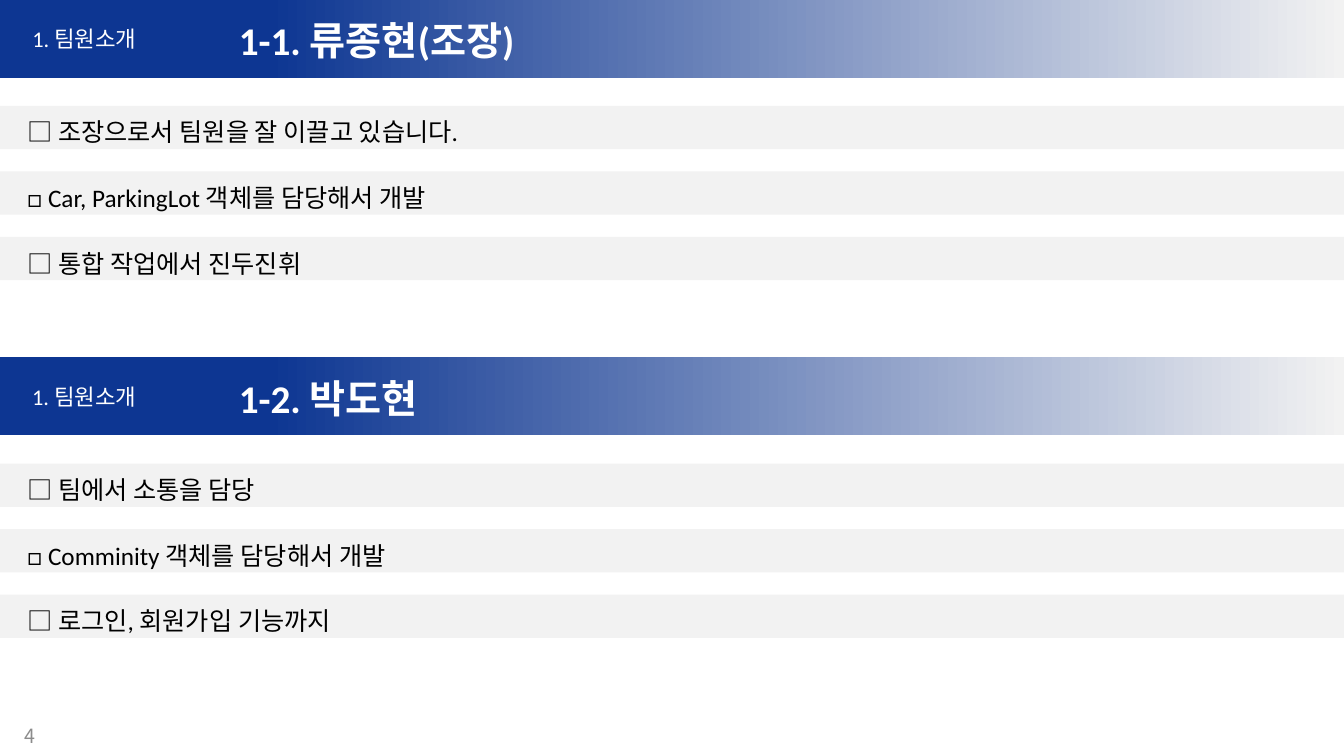
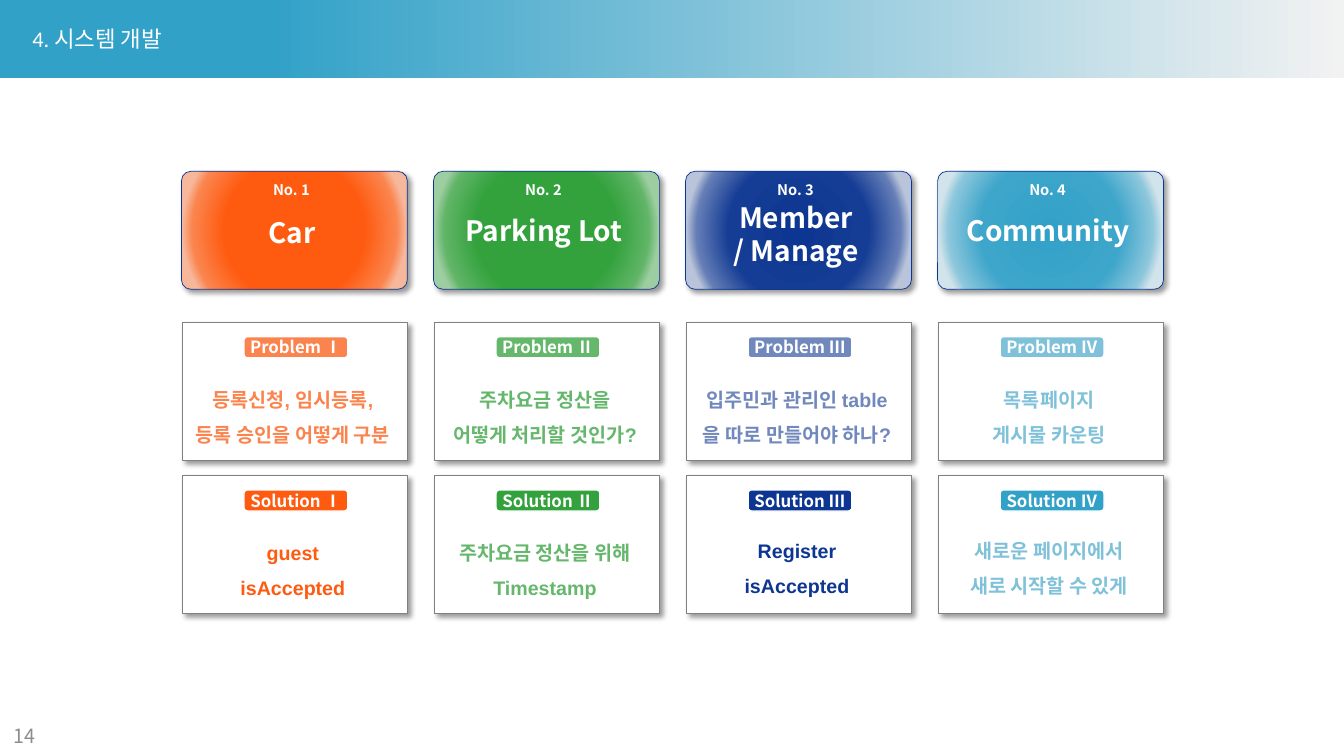
"""Build the team introduction slide and the system development slide."""
from lxml.etree import SubElement
from pptx import Presentation
from pptx.dml.color import RGBColor
from pptx.enum.shapes import MSO_SHAPE
from pptx.enum.text import MSO_ANCHOR, MSO_AUTO_SIZE, PP_ALIGN
from pptx.oxml import parse_xml
from pptx.oxml.ns import nsdecls, qn
from pptx.util import Inches, Pt

WHITE = RGBColor(0xFF, 0xFF, 0xFF)
BLACK = RGBColor(0x00, 0x00, 0x00)
PALE = RGBColor(0xF2, 0xF2, 0xF2)
GRAY = RGBColor(0x80, 0x80, 0x80)
FAINT = RGBColor(0x8C, 0x8C, 0x8C)
NAVY = RGBColor(0x0D, 0x36, 0x92)
SKY = RGBColor(0x32, 0xA1, 0xC8)
ORANGE = RGBColor(0xFE, 0x5B, 0x10)
GREEN = RGBColor(0x33, 0xA2, 0x3D)
PEACH = RGBColor(0xFB, 0x84, 0x4E)
MINT = RGBColor(0x65, 0xB7, 0x6C)
STEEL = RGBColor(0x70, 0x88, 0xBC)
AQUA = RGBColor(0x7F, 0xC1, 0xD9)

LATIN, NOTO, ARIAL = "Calibri", "Noto Sans CJK KR", "Arial"
LEFT, MID, RIGHT = PP_ALIGN.LEFT, PP_ALIGN.CENTER, PP_ALIGN.RIGHT
TOP, CENTER = MSO_ANCHOR.TOP, MSO_ANCHOR.MIDDLE
WIDE, HIGH = 13.33, 7.5
BLOCK, BAR = 3.55, 0.65
COL, ROW = 2.5, 1.52


def box(slide, kind, x, y, w, h, fill=None, line=None, width=0.5):
    """Add a shape, or a text box if kind is None."""
    area = [Inches(v) for v in (x, y, w, h)]
    if kind is None:
        return slide.shapes.add_textbox(*area)
    shape = slide.shapes.add_shape(kind, *area)
    shape.shadow.inherit = False
    shape.fill.solid()
    shape.fill.fore_color.rgb = fill
    if line is None:
        shape.line.fill.background()
    else:
        shape.line.color.rgb = line
        shape.line.width = Pt(width)
    return shape


def write(shape, lines, size, color, font, bold=False, align=LEFT, anchor=TOP,
          space=1.0, pad=(0.1, 0.05), wrap=True):
    """Fill a shape with one paragraph per line."""
    frame = shape.text_frame
    frame.auto_size = MSO_AUTO_SIZE.NONE
    frame.word_wrap = wrap
    frame.vertical_anchor = anchor
    frame.margin_left, frame.margin_top = Inches(pad[0]), Inches(pad[1])
    frame.margin_right, frame.margin_bottom = Inches(min(pad[0], 0.1)), Inches(pad[1])
    for i, line in enumerate(lines):
        para = frame.add_paragraph() if i else frame.paragraphs[0]
        para.alignment = align
        para.line_spacing = space
        run = para.add_run()
        run.text = line
        run.font.size = Pt(size)
        run.font.bold = bold
        run.font.name = font
        run.font.color.rgb = color
        SubElement(run.font._element, qn("a:ea")).set("typeface", NOTO)


deck = Presentation()
deck.slide_width, deck.slide_height = Inches(WIDE), Inches(HIGH)
team, system = [deck.slides.add_slide(deck.slide_layouts[5]) for _ in range(2)]

bands = [
    (team, 0, NAVY, "1. 팀원소개", "1-1. 류종현(조장)",
     ["조장으로서 팀원을 잘 이끌고 있습니다.",
      "Car, ParkingLot 객체를 담당해서 개발",
      "통합 작업에서 진두진휘"]),
    (team, 1, NAVY, "1. 팀원소개", "1-2. 박도현",
     ["팀에서 소통을 담당",
      "Comminity 객체를 담당해서 개발",
      "로그인, 회원가입 기능까지"]),
    (system, 0, SKY, "4. 시스템 개발", None, []),
]
for slide, block, color, topic, name, tasks in bands:
    top = block * BLOCK - 0.01
    band = box(slide, MSO_SHAPE.RECTANGLE, 0, top, WIDE, 0.78, color)
    band.fill.gradient()
    band.fill.gradient_angle = 180
    for stop, tint, place in zip(band.fill.gradient_stops, (PALE, color), (0, 0.8)):
        stop.color.rgb = tint
        stop.position = place
    slide.shapes.element.insert(2, band.element)

    label = box(slide, None, 0.22, top + 0.21, 2.52, 0.37) if block else slide.shapes.title
    label.left, label.top = Inches(0.22), Inches(top + 0.21)
    label.width, label.height = Inches(2.52), Inches(0.37)
    write(label, [topic], 16, WHITE, LATIN)
    if name:
        write(box(slide, None, 2.27, top + 0.12, 4.01, 0.57), [name], 28, WHITE, LATIN, True)
    for i, task in enumerate(tasks):
        bar = box(slide, MSO_SHAPE.RECTANGLE, 0, top + 1.06 + i * BAR, WIDE, 0.43, PALE)
        write(bar, ["□ " + task], 18, BLACK, LATIN, space=1.2, pad=(0.27, 0.05))

for slide, number in ((team, "4"), (system, "14")):
    write(box(slide, None, 0, HIGH - 0.4, 0.45, 0.4), [number], 14, FAINT, NOTO,
          align=RIGHT, anchor=CENTER)

parts = [
    (["Car"], 1.96, 1.5, "Ⅰ", ORANGE, PEACH, ("FE5B10", "FB854E", "F7B79A"),
     ["등록신청, 임시등록,", "등록 승인을 어떻게 구분"], ["guest", "isAccepted"]),
    (["Parking Lot"], 1.94, 1.5, "Ⅱ", GREEN, MINT, ("33A23D", "60B567", "9DCEA1"),
     ["주차요금 정산을", "어떻게 처리할 것인가?"], ["주차요금 정산을 위해", "Timestamp"]),
    (["Member", "/ Manage"], 2.06, 1.0, "Ⅲ", NAVY, STEEL, ("153D95", "657EB7", "B9C4DA"),
     ["입주민과 관리인 table", "을 따로 만들어야 하나?"], ["Register", "isAccepted"]),
    (["Community"], 1.94, 1.5, "Ⅳ", SKY, AQUA, ("3EA6CB", "8CC7DC", "D1E4EB"),
     ["목록페이지", "게시물 카운팅"], ["새로운 페이지에서", "새로 시작할 수 있게"]),
]
for n, (name, top, space, roman, deep, soft, tints, ask, answer) in enumerate(parts):
    x = 1.8 + n * COL
    head = box(system, MSO_SHAPE.ROUNDED_RECTANGLE, x, 1.7, 2.24, 1.17, deep, NAVY)
    head.adjustments[0] = 0.08
    stops = "".join(
        f'<a:gs pos="{place}000"><a:srgbClr val="{tint}"/></a:gs>'
        for place, tint in zip((0, 55, 80, 88), (deep, *tints)))
    glow = parse_xml(
        f'<a:gradFill {nsdecls("a")} rotWithShape="1"><a:gsLst>{stops}</a:gsLst>'
        '<a:path path="circle"><a:fillToRect l="50000" t="50000" r="50000" b="50000"/>'
        '</a:path></a:gradFill>')
    props = head.element.spPr
    props.replace(props.find(qn("a:solidFill")), glow)
    write(box(system, None, x + 0.21, top, 1.77, 0.52), name, 20, WHITE, NOTO, True,
          MID, CENTER, space, (0, 0))
    write(box(system, None, x + 0.03, 1.82, 2.12, 0.12), [f"No. {n + 1}"], 10.5, WHITE,
          NOTO, True, MID, CENTER, pad=(0, 0))

    cards = [head]
    for row, (word, lines) in enumerate((("Problem", ask), ("Solution", answer))):
        y = 3.2 + row * ROW
        cards.append(box(system, MSO_SHAPE.RECTANGLE, x + 0.01, y, 2.23, 1.37, WHITE, GRAY))
        pill = box(system, MSO_SHAPE.ROUNDED_RECTANGLE, x + 0.62, y + 0.14, 1.03, 0.21,
                   deep if row else soft, WHITE, 1)
        write(pill, [f"{word} {roman}"], 12, WHITE, NOTO, True, MID, CENTER,
              pad=(0, 0), wrap=False)
        write(box(system, None, x + 0.06, y + 0.53, 2.09, 0.65), lines, 14,
              deep if row and n % 2 == 0 else soft, ARIAL, True, MID,
              CENTER if row and n > 1 else TOP, 1.5, (0, 0), False)
    for card in cards:
        card.element.spPr.find(qn("a:effectLst")).append(parse_xml(
            f'<a:outerShdw {nsdecls("a")} blurRad="50800" dist="38100" dir="2700000" '
            'algn="tl" rotWithShape="0"><a:srgbClr val="000000"><a:alpha val="40000"/>'
            '</a:srgbClr></a:outerShdw>'))

deck.save("out.pptx")
